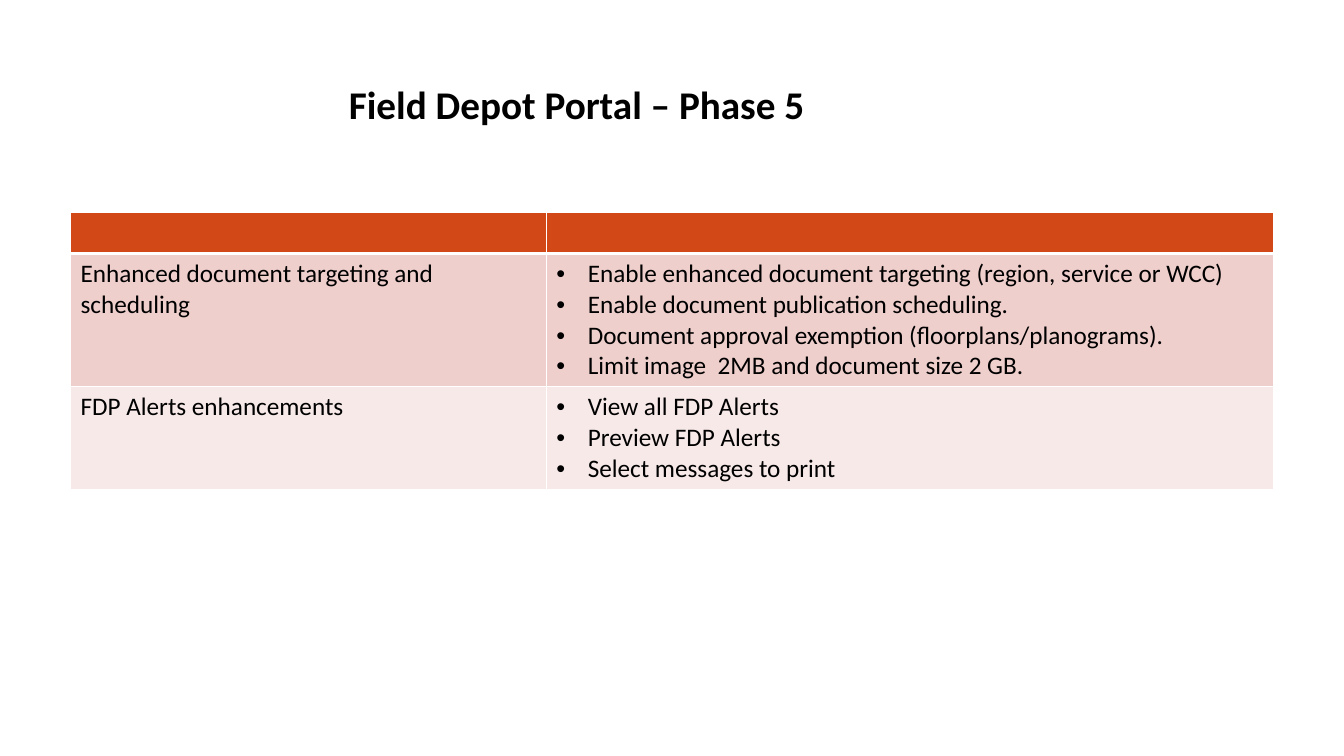
from lxml import etree
from pptx import Presentation
from pptx.dml.color import RGBColor
from pptx.enum import text
from pptx.oxml import ns
from pptx.util import Pt


def style_run(run, size, bold=False):
    for name, value in {"name": "Calibri", "size": Pt(size), "bold": bold}.items():
        setattr(run.font, name, value)
    run.font.color.rgb = RGBColor.from_string("000000")


def add_child(parent, tag, **attributes):
    return etree.SubElement(parent, ns.qn(tag), {k: str(v) for k, v in attributes.items()})


deck = Presentation()
deck.slide_width, deck.slide_height = Pt(960), Pt(540)
slide = deck.slides.add_slide(deck.slide_layouts[6])

# Each row: height, fill, topic, details
phase_rows = [
    (29.2, "D34817", "", []),
    (95.2, "EFCFCC", "Enhanced document targeting and scheduling", [
        "Enable enhanced document targeting (region, service or WCC)",
        "Enable document publication scheduling.",
        "Document approval exemption (floorplans/planograms).",
        "Limit image  2MB and document size 2 GB.",
    ]),
    (73.2, "F7E9E8", "FDP Alerts enhancements", [
        "View all FDP Alerts",
        "Preview FDP Alerts",
        "Select messages to print",
    ]),
]
column_widths = [339.8, 519.2]

phases = slide.shapes.add_table(
    len(phase_rows), len(column_widths), Pt(50.4), Pt(151.9),
    Pt(sum(column_widths)), Pt(sum(row[0] for row in phase_rows))).table
for column, width in zip(phases.columns, column_widths):
    column.width = Pt(width)

for index, (height, fill, topic, details) in enumerate(phase_rows):
    phases.rows[index].height = Pt(height)
    for cell, lines, bulleted in zip(phases.rows[index].cells, ([topic], details), (False, True)):
        properties = cell._tc.get_or_add_tcPr()
        for side in "LRTB":
            width = 3 if index == 0 and side == "B" else 1
            border = add_child(properties, f"a:ln{side}", w=Pt(width))
            add_child(add_child(border, "a:solidFill"), "a:srgbClr", val="FFFFFF")
        cell.fill.solid()
        cell.fill.fore_color.rgb = RGBColor.from_string(fill)

        for number, line in enumerate(filter(None, lines)):
            frame = cell.text_frame
            paragraph = frame.add_paragraph() if number else frame.paragraphs[0]
            run = paragraph.add_run()
            run.text = line
            style_run(run, 18)
            if bulleted:
                indent = paragraph._p.get_or_add_pPr()
                indent.set("marL", str(Pt(22.5)))
                indent.set("indent", str(Pt(-22.5)))
                add_child(indent, "a:buFont", typeface="Arial")
                add_child(indent, "a:buChar", char="•")

title = slide.shapes.add_textbox(Pt(126.7), Pt(54), Pt(570.2), Pt(41)).text_frame
title.word_wrap = True
title.auto_size = text.MSO_AUTO_SIZE.SHAPE_TO_FIT_TEXT
title.paragraphs[0].alignment = text.PP_ALIGN.CENTER
heading = title.paragraphs[0].add_run()
heading.text = "Field Depot Portal – Phase 5"
style_run(heading, 28, bold=True)

deck.save("out.pptx")
